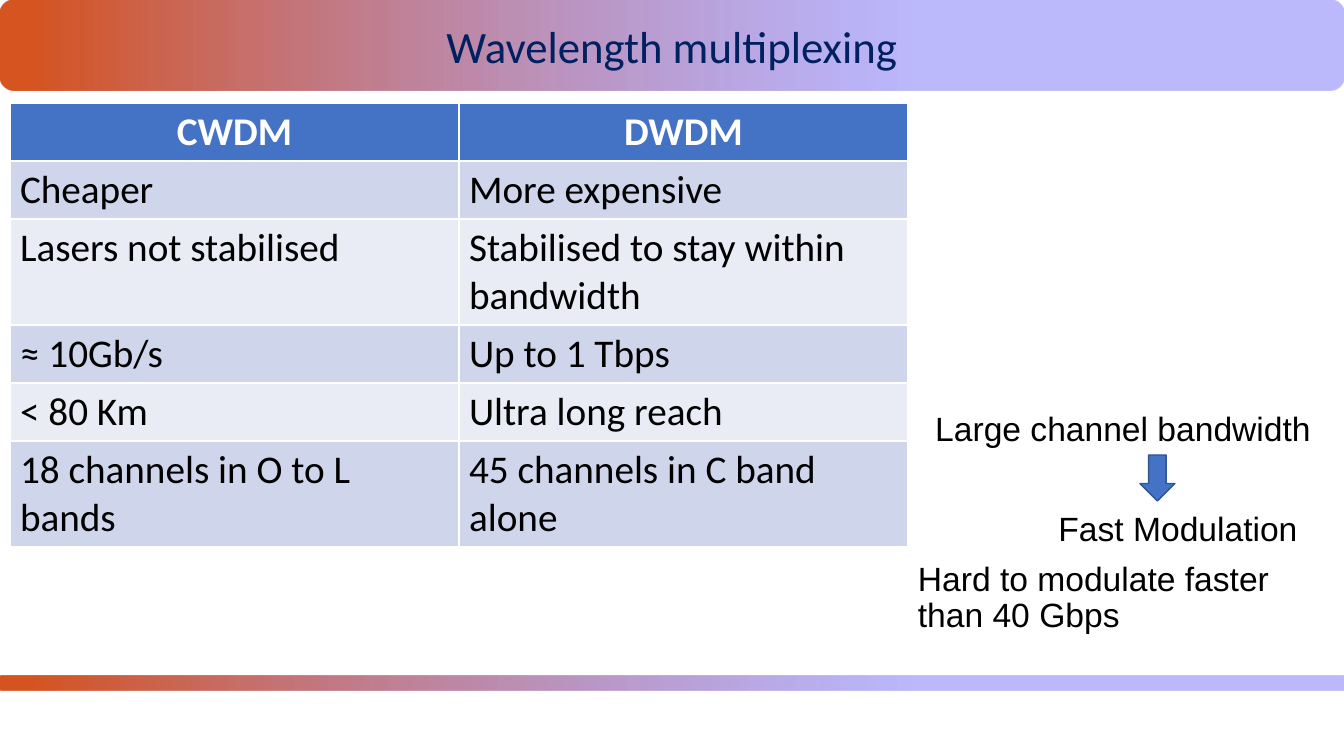
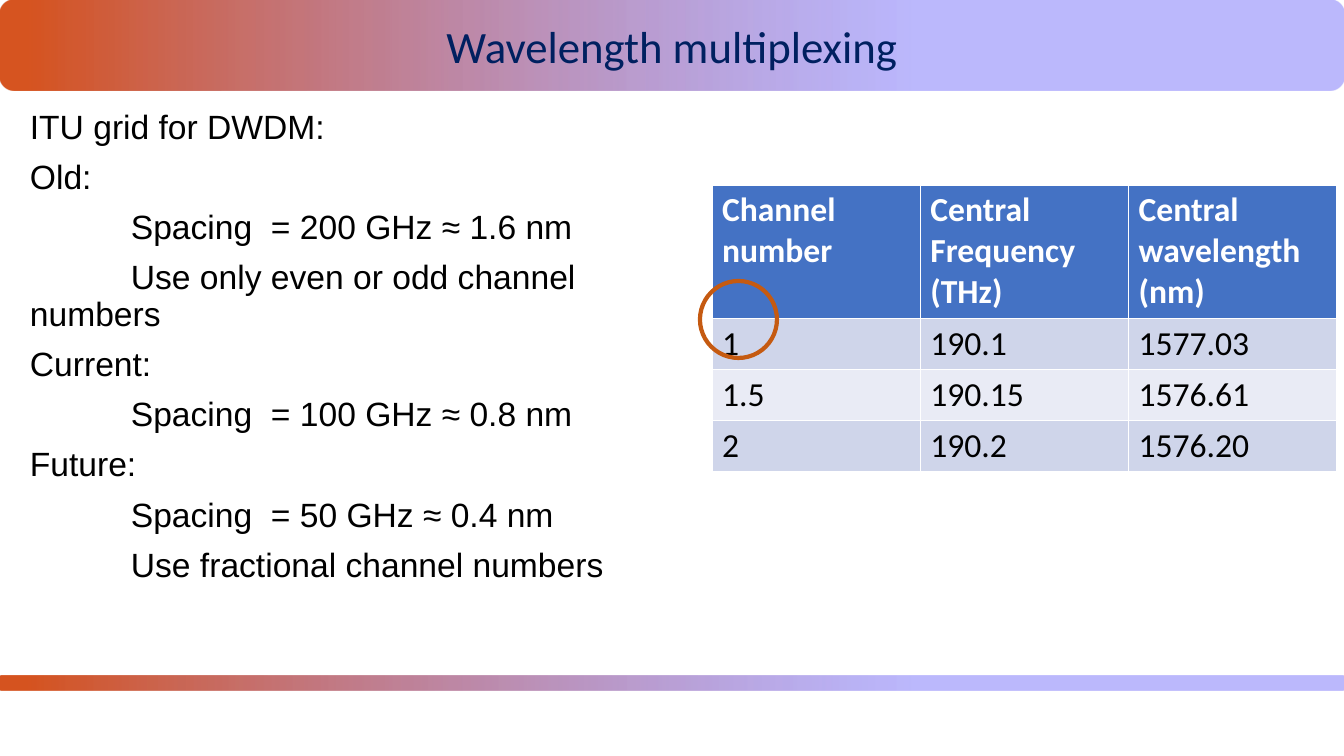
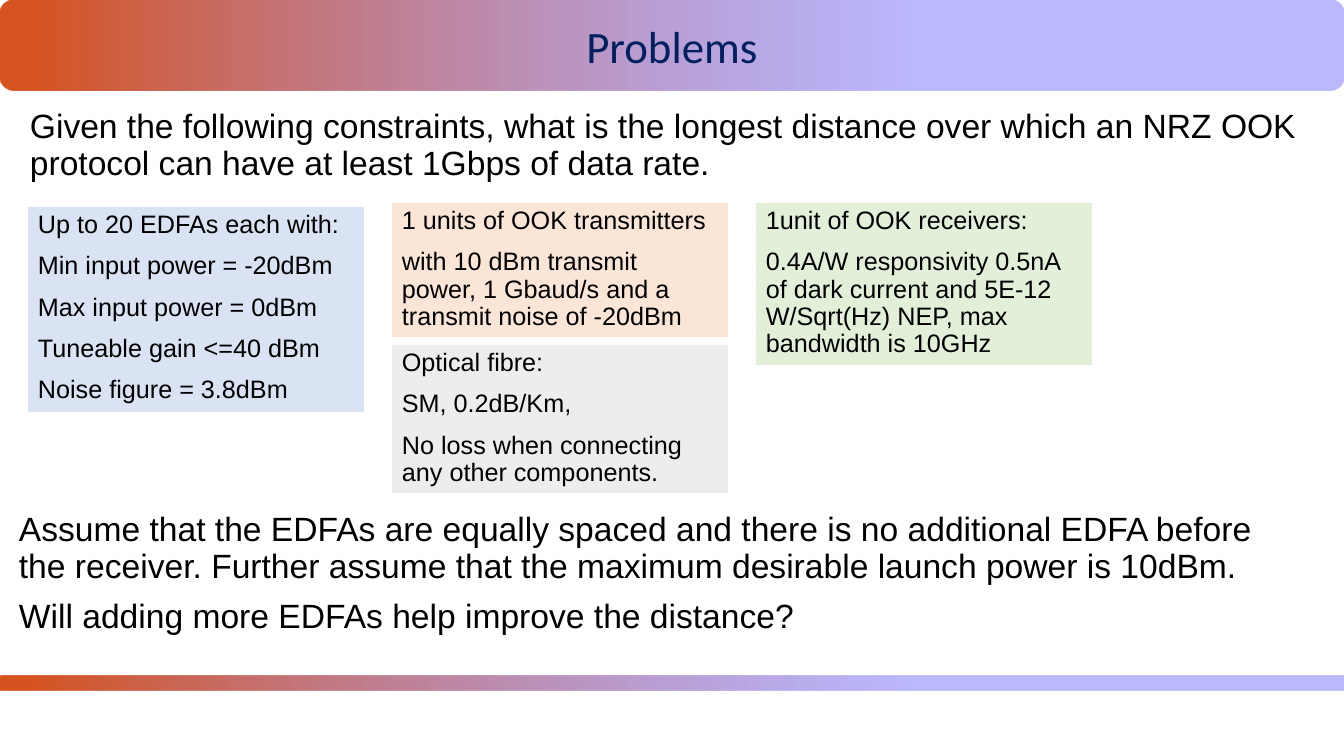
from lxml.etree import SubElement
from pptx import Presentation
from pptx.dml.color import RGBColor
from pptx.enum.shapes import MSO_SHAPE
from pptx.enum.text import MSO_ANCHOR, MSO_AUTO_SIZE, PP_ALIGN
from pptx.oxml.ns import qn
from pptx.util import Emu, Pt

EMU_PER_PX = 12192000 / 1344
rgb = RGBColor.from_string

BLACK, WHITE, NAVY = "000000", "FFFFFF", "002060"
ORANGE, VIOLET = "D65420", "7B75FB"
BLUE, BLUE_EDGE, RING = "4472C4", "325491", "C55A11"
ROW_FILLS = ["E9EBF5", "CFD5EA"]


def px(*lengths):
    return [Emu(round(n * EMU_PER_PX)) for n in lengths]


def write(sp, lines, size, font="Arial", color=BLACK, align=PP_ALIGN.LEFT):
    tf = sp.text_frame
    tf.word_wrap = True
    tf.auto_size = MSO_AUTO_SIZE.NONE
    tf.vertical_anchor = MSO_ANCHOR.TOP
    tf.text = "\n".join(lines)
    for i, p in enumerate(tf.paragraphs):
        p.alignment = align
        p.line_spacing = 0.9
        p.space_before = Pt(10 if i else 0)
        p.font.size = Pt(size)
        p.font.name = font
        p.font.color.rgb = rgb(color)
    return tf.paragraphs


prs = Presentation()
prs.slide_width, prs.slide_height = px(1344, 756)

# Shared title and gradient bands
slides = []
for title in ["Wavelength multiplexing", "Wavelength multiplexing", "Problems"]:
    s = prs.slides.add_slide(prs.slide_layouts[5])
    sp = s.shapes.title
    sp.left, sp.top, sp.width, sp.height = px(0, 20, 1344, 46)
    write(sp, [title], 32, "Calibri", NAVY, PP_ALIGN.CENTER)
    for top, height in [(0, 91), (676, 14)]:
        band = s.shapes.add_shape(MSO_SHAPE.ROUNDED_RECTANGLE, *px(0, top, 1344, height))
        band.shadow.inherit = False
        band.line.fill.background()
        band.fill.gradient()
        band.fill.gradient_angle = 0
        stops = zip(band.fill.gradient_stops, [0.02, 0.68], [ORANGE, VIOLET])
        for stop, position, color in stops:
            stop.position = position
            stop.color.rgb = rgb(color)
        violet = band.element.findall(".//" + qn("a:srgbClr"))[-1]
        SubElement(violet, qn("a:alpha"), val="51000")
        s.shapes.element.insert(2, band.element)  # behind the title
    slides.append(s)
comparison, grid, problems = slides

# Tables: slide, place, text size, header alignment, row heights, rows
tables = [
    (comparison, (10, 103, 898), 28, PP_ALIGN.CENTER, [58, 58, 106, 58, 58, 106], [
        ["CWDM", "DWDM"],
        ["Cheaper", "More expensive"],
        ["Lasers not stabilised", "Stabilised to stay within bandwidth"],
        ["≈ 10Gb/s", "Up to 1 Tbps"],
        ["< 80 Km", "Ultra long reach"],
        ["18 channels in O to L bands", "45 channels in C band alone"],
    ]),
    (grid, (712, 185, 625), 24, PP_ALIGN.LEFT, [133, 51, 51, 51], [
        ["Channel number", "Central Frequency (THz)", "Central wavelength (nm)"],
        ["1", "190.1", "1577.03"],
        ["1.5", "190.15", "1576.61"],
        ["2", "190.2", "1576.20"],
    ]),
]
for s, place, size, header_align, heights, rows in tables:
    frame = s.shapes.add_table(len(rows), len(rows[0]), *px(*place, sum(heights)))
    table = frame.table
    for i, (row, height) in enumerate(zip(table.rows, px(*heights))):
        row.height = height
        for cell, text in zip(row.cells, rows[i]):
            cell.text = text
            cell.fill.solid()
            cell.fill.fore_color.rgb = rgb(ROW_FILLS[i % 2] if i else BLUE)
            p = cell.text_frame.paragraphs[0]
            p.alignment = PP_ALIGN.LEFT if i else header_align
            p.font.size = Pt(size)
            p.font.name = "Calibri"
            p.font.bold = i == 0
            p.font.color.rgb = rgb(BLACK if i else WHITE)

# Comparison: bandwidth leads to fast modulation
sp = comparison.shapes.add_textbox(*px(908, 408, 430, 244))
bandwidth, modulation, limit = write(sp, [
    "Large channel bandwidth",
    "Fast Modulation",
    "Hard to modulate faster than 40 Gbps",
], 24, align=PP_ALIGN.CENTER)
modulation.space_before = Pt(45)
modulation._p.get_or_add_pPr().set("marL", str(px(110)[0]))
limit.alignment = PP_ALIGN.LEFT

arrow = comparison.shapes.add_shape(MSO_SHAPE.DOWN_ARROW, *px(1140, 455, 35, 46))
arrow.shadow.inherit = False
arrow.fill.solid()
arrow.fill.fore_color.rgb = rgb(BLUE)
arrow.line.color.rgb = rgb(BLUE_EDGE)
arrow.line.width = Pt(1)

# Grid: spacings, with the details indented on their first line
spacings = [
    ("ITU grid for DWDM:", 0),
    ("Old:", 0),
    ("Spacing  = 200 GHz ≈ 1.6 nm", 101),
    ("Use only even or odd channel numbers", 101),
    ("Current:", 0),
    ("Spacing  = 100 GHz ≈ 0.8 nm", 101),
    ("Future:", 0),
    ("Spacing  = 50 GHz ≈ 0.4 nm", 101),
    ("Use fractional channel numbers", 101),
]
sp = grid.shapes.add_textbox(*px(20, 105, 680, 490))
paragraphs = write(sp, [text for text, indent in spacings], 24)
for p, (text, indent) in zip(paragraphs, spacings):
    p._p.get_or_add_pPr().set("indent", str(px(indent)[0]))

ring = grid.shapes.add_shape(MSO_SHAPE.OVAL, *px(700, 281, 77, 77))
ring.shadow.inherit = False
ring.fill.background()
ring.line.color.rgb = rgb(RING)
ring.line.width = Pt(3)

# Problems: question and assumptions
for left, top, height, lines in [
    (20, 105, 85, ["Given the following constraints, what is the longest distance over "
                   "which an NRZ OOK protocol can have at least 1Gbps of data rate."]),
    (9, 508, 135, ["Assume that the EDFAs are equally spaced and there is no additional "
                   "EDFA before the receiver. Further assume that the maximum desirable "
                   "launch power is 10dBm.",
                   "Will adding more EDFAs help improve the distance?"]),
]:
    write(problems.shapes.add_textbox(*px(left, top, 1296, height)), lines, 24)

# Problems: component cards in columns
cards = [
    (0, 207, 205, "DAE3F3", [
        "Up to 20 EDFAs each with:", "Min input power = -20dBm",
        "Max input power = 0dBm", "Tuneable gain <=40 dBm", "Noise figure = 3.8dBm"]),
    (1, 203, 134, "FBE5D6", [
        "1 units of OOK transmitters",
        "with 10 dBm transmit power, 1 Gbaud/s and a transmit noise of -20dBm"]),
    (2, 203, 162, "E2F0D9", [
        "1unit of OOK receivers:",
        "0.4A/W responsivity 0.5nA of dark current and 5E-12 W/Sqrt(Hz) NEP, "
        "max bandwidth is 10GHz"]),
    (1, 345, 148, "EDEDED", [
        "Optical fibre:", "SM, 0.2dB/Km,",
        "No loss when connecting any other components."]),
]
for column, top, height, color, lines in cards:
    card = problems.shapes.add_shape(
        MSO_SHAPE.RECTANGLE, *px(28 + 364 * column, top, 336, height))
    card.shadow.inherit = False
    card.fill.solid()
    card.fill.fore_color.rgb = rgb(color)
    card.line.fill.background()
    write(card, lines, 18)

prs.save("out.pptx")
